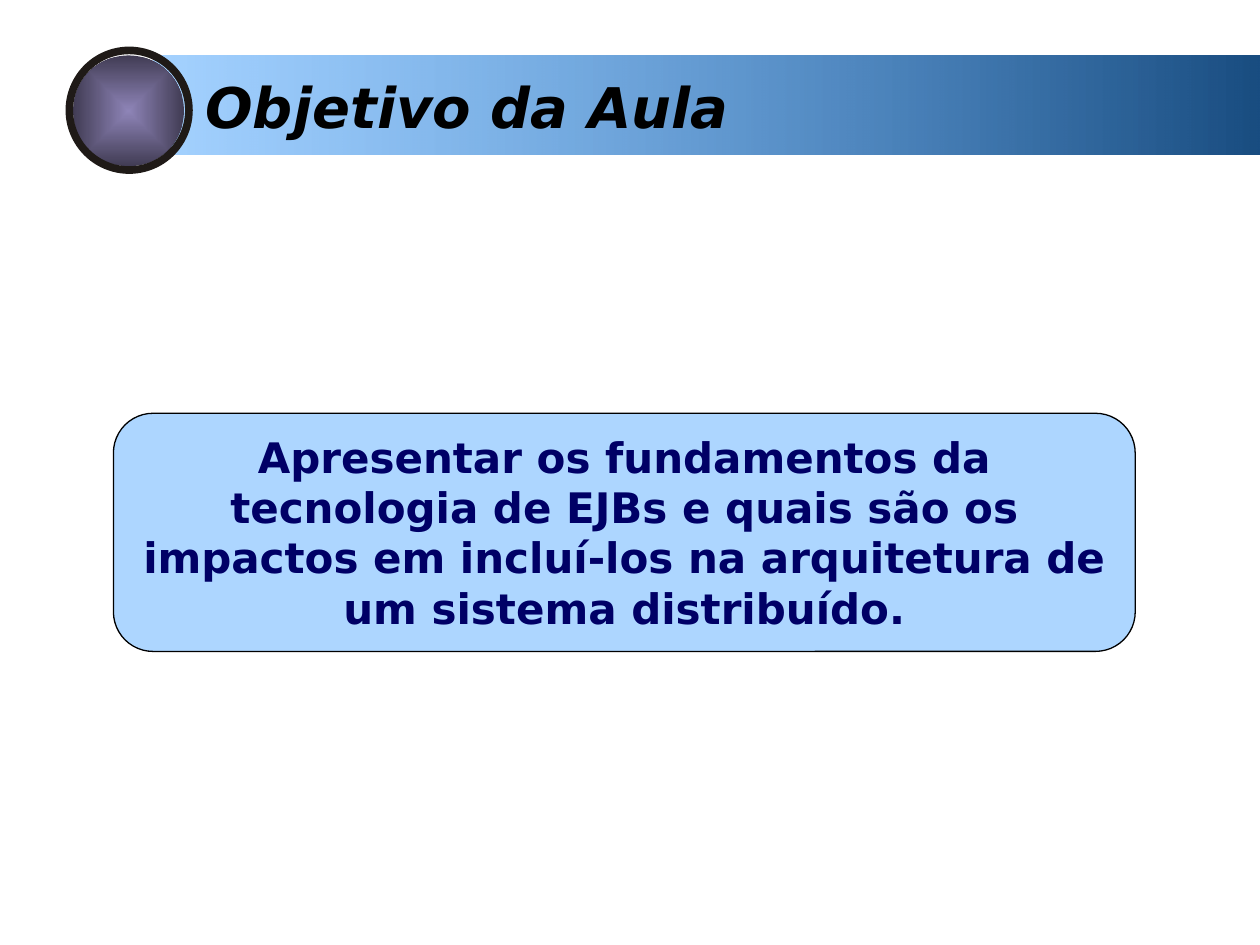
from lxml import etree
from pptx import Presentation
from pptx.dml.color import RGBColor
from pptx.enum.shapes import MSO_SHAPE
from pptx.enum.text import MSO_ANCHOR, MSO_AUTO_SIZE, PP_ALIGN
from pptx.oxml import parse_xml
from pptx.oxml.ns import nsdecls, qn
from pptx.util import Inches, Pt

RECTANGLE, ROUNDED = MSO_SHAPE.RECTANGLE, MSO_SHAPE.ROUNDED_RECTANGLE
OVAL, DONUT = MSO_SHAPE.OVAL, MSO_SHAPE.DONUT
TOP, MIDDLE = MSO_ANCHOR.TOP, MSO_ANCHOR.MIDDLE
LEFT, CENTER = PP_ALIGN.LEFT, PP_ALIGN.CENTER
FIXED = MSO_AUTO_SIZE.NONE

COLORS = {
    "navy": "194D81", "blue": "3399FF", "black": "000000", "text": "000066",
    "ring": "1F1A17", "lilac": "8E84B7", "plum": "413C54",
}


def add_plain_shape(kind, left, top, width, height, colors):
    shape = slide.shapes.add_shape(kind, Inches(left), Inches(top), Inches(width), Inches(height))
    shape.shadow.inherit = False
    shape.line.fill.background()
    if len(colors) == 1:
        shape.fill.solid()
        shape.fill.fore_color.rgb = RGBColor.from_string(COLORS[colors[0]])
    else:
        shape.fill.gradient()
        shape.fill.gradient_angle = 180
        for stop, position, color in zip(shape.fill.gradient_stops, (0, 1), colors):
            stop.position = position
            stop.color.rgb = RGBColor.from_string(COLORS[color])
    return shape


def write_text(shape, text, anchor, alignment, color, font_format):
    frame = shape.text_frame
    frame.text = text
    frame.word_wrap = True
    frame.auto_size = FIXED
    frame.vertical_anchor = anchor
    paragraph = frame.paragraphs[0]
    paragraph.alignment = alignment
    font = paragraph.runs[0].font
    font.color.rgb = RGBColor.from_string(COLORS[color])
    for name, value in font_format.items():
        setattr(font, name, value)


presentation = Presentation()
presentation.slide_width, presentation.slide_height = Inches(10), Inches(7.5)
slide = presentation.slides.add_slide(presentation.slide_layouts[5])

bar = add_plain_shape(RECTANGLE, 1.22, 0.44, 8.78, 0.79, ["navy", "blue"])
panel = add_plain_shape(ROUNDED, 0.9, 3.28, 8.11, 1.89, ["blue"])
panel.line.color.rgb = RGBColor.from_string(COLORS["black"])
panel.line.width = Pt(0.75)

for shape, opacity in ((bar, 44), (panel, 40)):
    color = shape.element.spPr.findall(".//" + qn("a:srgbClr"))
    fill_color = color[-1] if shape is bar else color[0]
    etree.SubElement(fill_color, qn("a:alpha"), val=str(opacity * 1000))

title = slide.shapes.title
title.left, title.top, title.width, title.height = map(Inches, (1.53, 0.52, 8.47, 0.64))
title.element.getparent().append(title.element)

base_format = {"name": "DejaVu Sans", "bold": True}
write_text(title, "Objetivo da Aula", MIDDLE, LEFT, "black",
           {**base_format, "size": Pt(32), "italic": True})
write_text(panel, "Apresentar os fundamentos da tecnologia de EJBs e quais são os impactos "
           "em incluí-los na arquitetura de um sistema distribuído.", TOP, CENTER, "text",
           {**base_format, "size": Pt(24)})

button = add_plain_shape(OVAL, 0.58, 0.44, 0.88, 0.88, ["lilac", "plum"])
linear = button.element.spPr.find(".//" + qn("a:lin"))
linear.getparent().replace(linear, parse_xml(
    f'<a:path {nsdecls("a")} path="rect">'
    '<a:fillToRect l="50000" t="50000" r="50000" b="50000"/></a:path>'))

ring = add_plain_shape(DONUT, 0.52, 0.37, 1.01, 1.01, ["ring"])
ring.adjustments[0] = 0.06

presentation.save("out.pptx")
